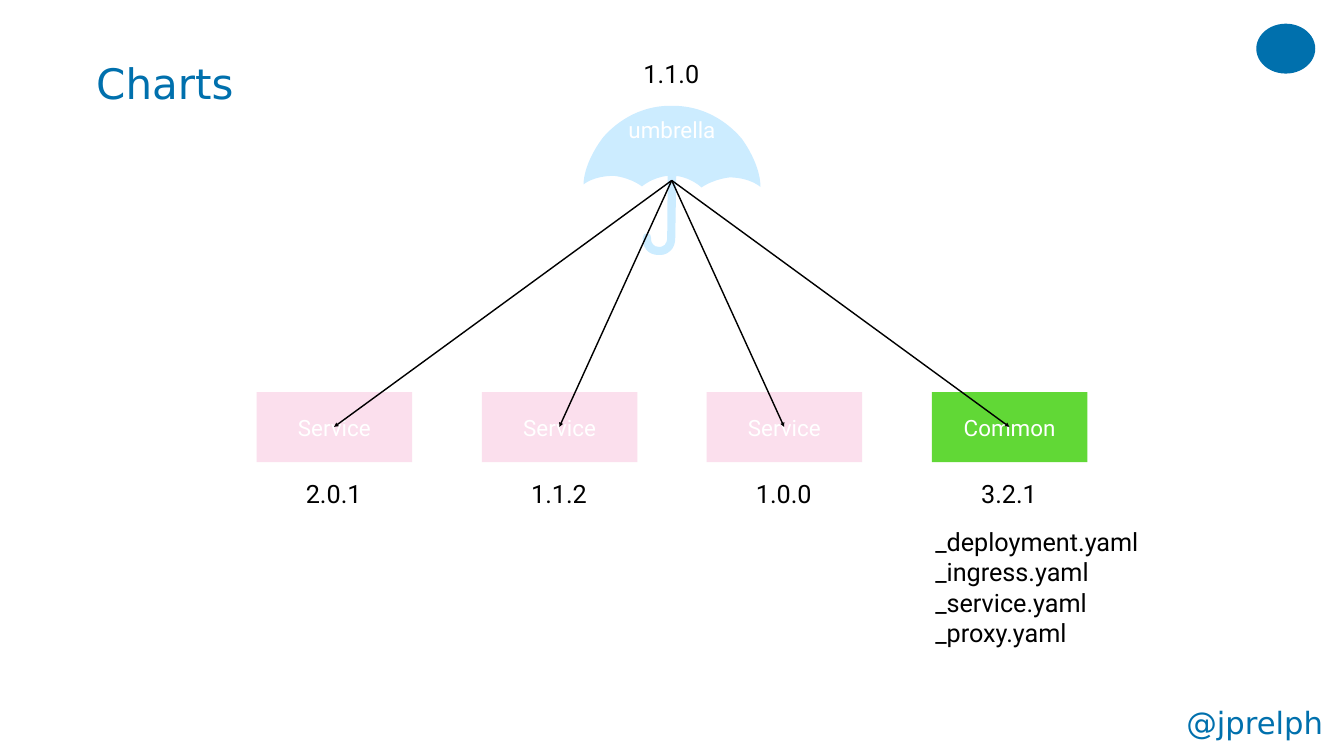
from lxml import etree
from pptx import Presentation
from pptx.dml.color import RGBColor
from pptx.enum.shapes import MSO_CONNECTOR, MSO_SHAPE
from pptx.enum.text import MSO_ANCHOR, PP_ALIGN
from pptx.oxml.ns import qn
from pptx.util import Pt

PX = 9144
RECTANGLE, OVAL, STRAIGHT = MSO_SHAPE.RECTANGLE, MSO_SHAPE.OVAL, MSO_CONNECTOR.STRAIGHT
MIDDLE, TOP = MSO_ANCHOR.MIDDLE, MSO_ANCHOR.TOP
LEFT, CENTER = PP_ALIGN.LEFT, PP_ALIGN.CENTER
BLUE, SKY, PINK, GREEN = "0070AD", "00A2FF", "EF5FA7", "61D836"
WHITE, BLACK = "FFFFFF", "000000"
HEADING_FONT, BODY_FONT = "DejaVu Sans", "Roboto"

CHARTS = [
    ("Service", "2.0.1", PINK, 20),
    ("Service", "1.1.2", PINK, 20),
    ("Service", "1.0.0", PINK, 20),
    ("Common", "3.2.1", GREEN, 100),
]
TEMPLATES = ["_deployment.yaml", "_ingress.yaml", "_service.yaml", "_proxy.yaml"]
UMBRELLA_OUTLINE = [
    (175, 0), (172, 0, 169, 0, 166, 0), (83, 3, 37, 65, 37, 65),
    (-2, 118, 0, 156, 0, 156), (0, 156, 19, 139, 60, 139),
    (60, 139, 90, 141, 116, 160), (116, 160, 136, 142, 167, 139),
    (166, 261), (166, 268, 164, 273, 161, 276), (157, 280, 152, 280, 151, 280),
    (150, 280), (144, 280, 140, 278, 138, 275), (133, 270, 134, 262, 134, 262),
    (135, 257, 131, 253, 127, 253), (122, 252, 118, 255, 118, 260),
    (117, 262, 116, 276, 125, 286), (131, 293, 139, 296, 150, 296),
    (151, 296), (154, 296, 164, 296, 172, 288), (179, 282, 182, 273, 182, 262),
    (184, 139), (215, 143, 234, 162, 234, 162), (261, 144, 291, 142, 291, 142),
    (332, 143, 351, 161, 351, 161), (351, 161, 354, 123, 316, 68),
    (316, 68, 268, 1, 180, 0), (175, 0),
]


def px(*lengths):
    """Turn px lengths into EMU."""
    return [round(length * PX) for length in lengths]


def color(hex_text):
    """Return the colour for a hex string."""
    return RGBColor.from_string(hex_text)


def paint(shape, fill, opacity=100):
    """Fill a shape with no outline or shadow, at an opacity in percent."""
    shape.shadow.inherit = False
    shape.line.fill.background()
    shape.fill.solid()
    shape.fill.fore_color.rgb = color(fill)
    if opacity < 100:
        for tint in shape.fill._xPr.iter(qn("a:srgbClr")):
            etree.SubElement(tint, qn("a:alpha"), val=str(opacity * 1000))


def write(shape, lines, size, font, ink, align=LEFT, anchor=MIDDLE, insets=(6, 6, 6, 6), wrap=True):
    """Write one paragraph per line into a shape."""
    frame = shape.text_frame
    frame.word_wrap = wrap
    frame.vertical_anchor = anchor
    frame.margin_left, frame.margin_top, frame.margin_right, frame.margin_bottom = px(*insets)
    frame.text = "\n".join(lines)
    for paragraph in frame.paragraphs:
        paragraph.alignment = align
        paragraph.font.size = Pt(size)
        paragraph.font.name = font
        paragraph.font.color.rgb = color(ink)


def add_heading(page, box, text, size):
    """Add a blue line of text in the heading font."""
    write(page.shapes.add_textbox(*px(*box)), [text], size, HEADING_FONT, BLUE)


def add_label(page, box, lines):
    """Add black body text that does not wrap."""
    write(page.shapes.add_textbox(*px(*box)), lines, 36, BODY_FONT, BLACK, wrap=False)


def add_badge(page, box):
    """Add the plain corner badge."""
    paint(page.shapes.add_shape(OVAL, *px(*box)), BLUE)


def add_curved_shape(page, left, top, outline):
    """Add a closed freeform whose six-number parts are cubic curves."""
    corners = [px(left + part[-2], top + part[-1]) for part in outline]
    builder = page.shapes.build_freeform(*corners[0])
    builder.add_line_segments(corners[1:], close=True)
    shape = builder.convert_to_shape()
    segments = list(shape._element.spPr.iter(qn("a:lnTo")))
    for segment, part in zip(segments, outline[1:]):
        if len(part) == 6:
            curve = etree.Element(qn("a:cubicBezTo"))
            for x, y in zip(px(*part[::2]), px(*part[1::2])):
                etree.SubElement(curve, qn("a:pt"), x=str(x), y=str(y))
            segment.getparent().replace(segment, curve)
    return shape


def add_umbrella(page, left, top):
    """Add the umbrella chart with its name and version."""
    umbrella = add_curved_shape(page, left, top, UMBRELLA_OUTLINE)
    paint(umbrella, SKY, 20)
    write(umbrella, ["umbrella"], 32, BODY_FONT, WHITE, CENTER, TOP, (0, 21, 0, 0))
    add_label(page, (left + 113, top - 99, 124, 69), ["1.1.0"])


def add_arrow(page, start, end):
    """Add a black arrow between two points."""
    arrow = page.shapes.add_connector(STRAIGHT, *px(*start, *end))
    arrow.line.width = Pt(2)
    arrow.line.color.rgb = color(BLACK)
    etree.SubElement(arrow.line._get_or_add_ln(), qn("a:tailEnd"), type="triangle")
    etree.SubElement(arrow._element.spPr, qn("a:effectLst"))


def add_chart_box(page, box, chart, hub):
    """Add a chart box with its version below and an arrow from the hub."""
    left, top, width, height = box
    name, version, fill, opacity = chart
    block = page.shapes.add_shape(RECTANGLE, *px(*box))
    paint(block, fill, opacity)
    write(block, [name], 32, BODY_FONT, WHITE, CENTER, insets=(0, 0, 0, 0))
    add_arrow(page, hub, (left + width // 2, top + height // 2))
    add_label(page, (left + 92, top + 166, 124, 69), [version])


def build_charts_slide(page):
    """Place the heading, the umbrella and its four charts."""
    add_heading(page, (185, 39, 2297, 250), "Charts", 60)
    add_badge(page, (2493, 47, 117, 99))
    add_heading(page, (2348, 1391, 309, 84), "@jprelph", 43.8)
    add_umbrella(page, 1158, 210)
    for column, chart in enumerate(CHARTS):
        left = round(509 + column * 446.67)
        add_chart_box(page, (left, 778, 309, 139), chart, (1333, 358))
    add_label(page, (1850, 1040, 421, 249), TEMPLATES)


def main():
    """Build and save the deck."""
    deck = Presentation()
    deck.slide_width, deck.slide_height = px(2667, 1500)
    build_charts_slide(deck.slides.add_slide(deck.slide_layouts[6]))
    deck.save("out.pptx")


if __name__ == "__main__":
    main()
